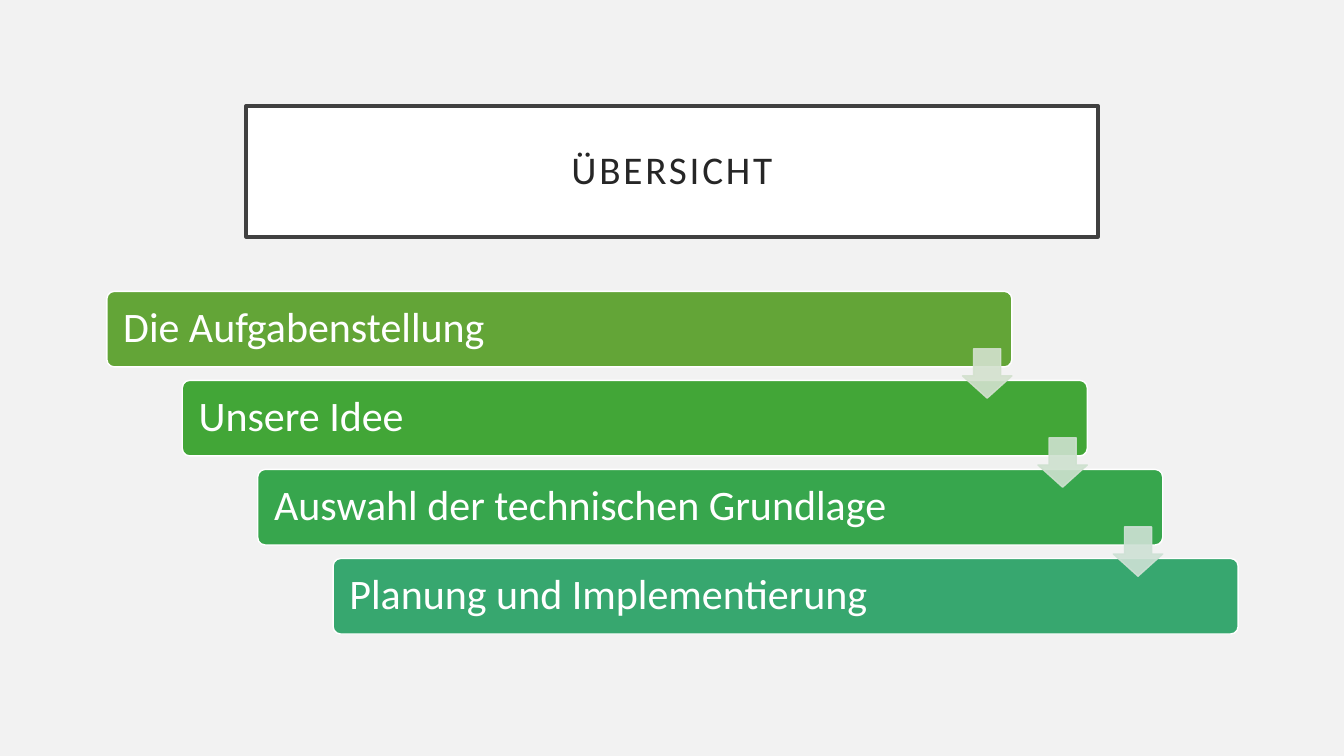
from pptx import Presentation
from pptx.dml.color import RGBColor
from pptx.enum.shapes import MSO_SHAPE
from pptx.enum.text import MSO_ANCHOR, MSO_AUTO_SIZE, PP_ALIGN
from pptx.oxml.ns import qn
from pptx.util import Inches, Pt
from lxml.etree import SubElement

STEPS = [
    ("Die Aufgabenstellung", "63A537", "D3E1CE"),
    ("Unsere Idee", "42A637", "CEE1CF"),
    ("Auswahl der technischen Grundlage", "37A64D", "CEE1D5"),
    ("Planung und Implementierung", "37A76F", None),
]


def paint(fill, color, opacity=100):
    fill.solid()
    fill.fore_color.rgb = RGBColor.from_string(color)
    if opacity < 100:
        for tone in fill._xPr.iter(qn("a:srgbClr")):
            if tone.getparent().getparent() is fill._xPr:
                SubElement(tone, qn("a:alpha"), val=str(opacity * 1000))


def style(shape, fill, line, width, opacity=100):
    shape.shadow.inherit = False
    paint(shape.fill, fill, opacity)
    paint(shape.line.fill, line, opacity)
    shape.line.width = Pt(width)


def write(shape, text, size, color, align=PP_ALIGN.LEFT, inset=0.14, tracking=0):
    frame = shape.text_frame
    frame.word_wrap = True
    frame.auto_size = MSO_AUTO_SIZE.NONE
    frame.vertical_anchor = MSO_ANCHOR.MIDDLE
    frame.margin_left = frame.margin_right = Inches(inset)
    frame.margin_top = frame.margin_bottom = Inches(inset)
    paragraph = frame.paragraphs[0]
    paragraph.alignment = align
    paragraph.line_spacing = 0.9
    run = paragraph.add_run()
    run.text = text
    run.font.name = "Calibri"
    run.font.size = Pt(size)
    paint(run.font.fill, color)
    if tracking:
        run.font._element.set("spc", str(tracking * 100))


def add_heading(slide, left, top, width, height):
    heading = slide.shapes.title
    heading.left, heading.top = Inches(left), Inches(top)
    heading.width, heading.height = Inches(width), Inches(height)
    paint(heading.fill, "FFFFFF")
    paint(heading.line.fill, "404040")
    heading.line.width = Pt(2.5)
    write(heading, "ÜBERSICHT", size=28, color="262626",
          align=PP_ALIGN.CENTER, inset=0.2, tracking=2)


def add_staircase(slide, left, top, width, height):
    bar_width, bar_height, arrow_size = width * 0.8, 0.75, 0.49
    shift = (width - bar_width) / (len(STEPS) - 1)
    drop = (height - bar_height) / (len(STEPS) - 1)

    for index, (label, color, _) in enumerate(STEPS):
        bar = slide.shapes.add_shape(
            MSO_SHAPE.ROUNDED_RECTANGLE,
            Inches(left + index * shift), Inches(top + index * drop),
            Inches(bar_width), Inches(bar_height))
        bar.adjustments[0] = 0.1
        style(bar, color, "FFFFFF", 1)
        write(bar, label, size=30, color="FFFFFF")

    for index, (_, _, tint) in enumerate(STEPS[:-1]):
        arrow = slide.shapes.add_shape(
            MSO_SHAPE.DOWN_ARROW,
            Inches(left + index * shift + bar_width - arrow_size),
            Inches(top + index * drop + 0.57),
            Inches(arrow_size), Inches(arrow_size))
        arrow.adjustments[0] = 0.55
        arrow.adjustments[1] = 0.45
        style(arrow, tint, tint, 1, opacity=90)


presentation = Presentation()
presentation.slide_width, presentation.slide_height = Inches(13.33), Inches(7.5)
overview = presentation.slides.add_slide(presentation.slide_layouts[5])
paint(overview.background.fill, "F2F2F2")
add_heading(overview, 2.44, 1.05, 8.45, 1.3)
add_staircase(overview, 1.06, 2.89, 11.22, 3.4)
presentation.save("out.pptx")
